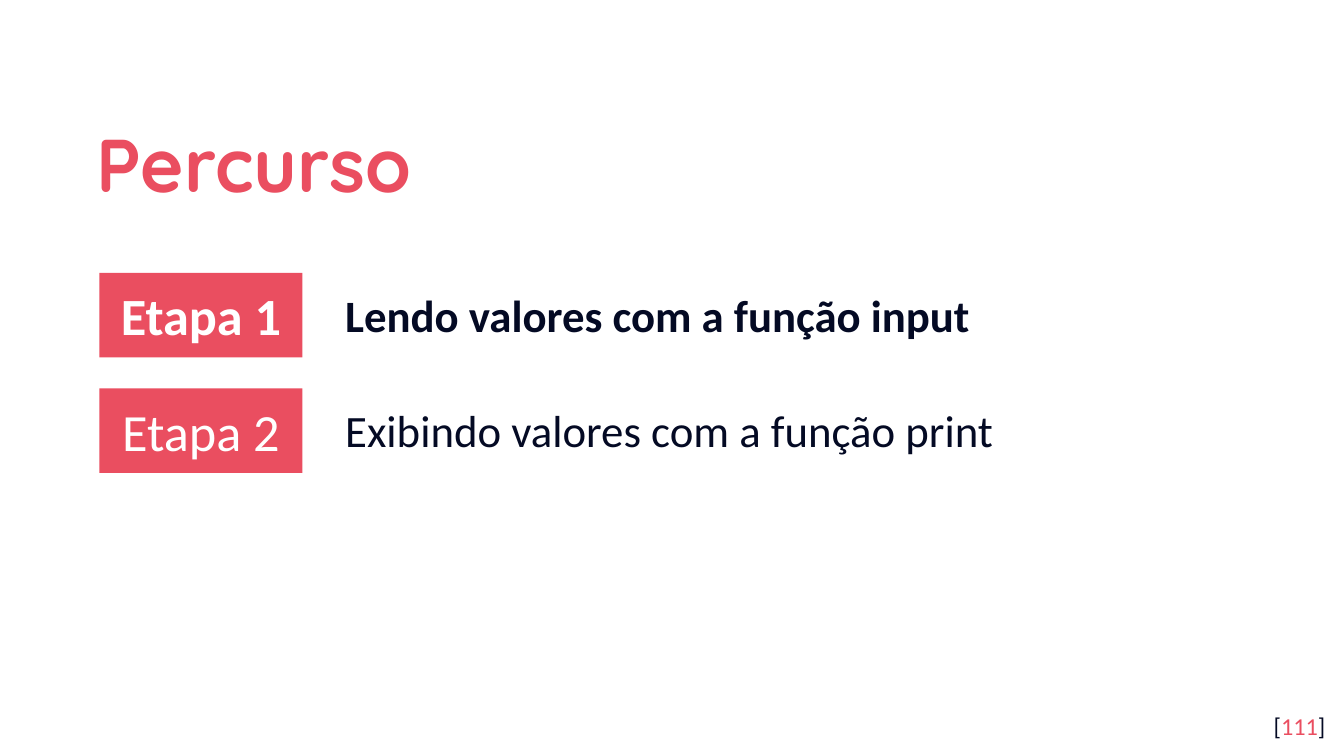
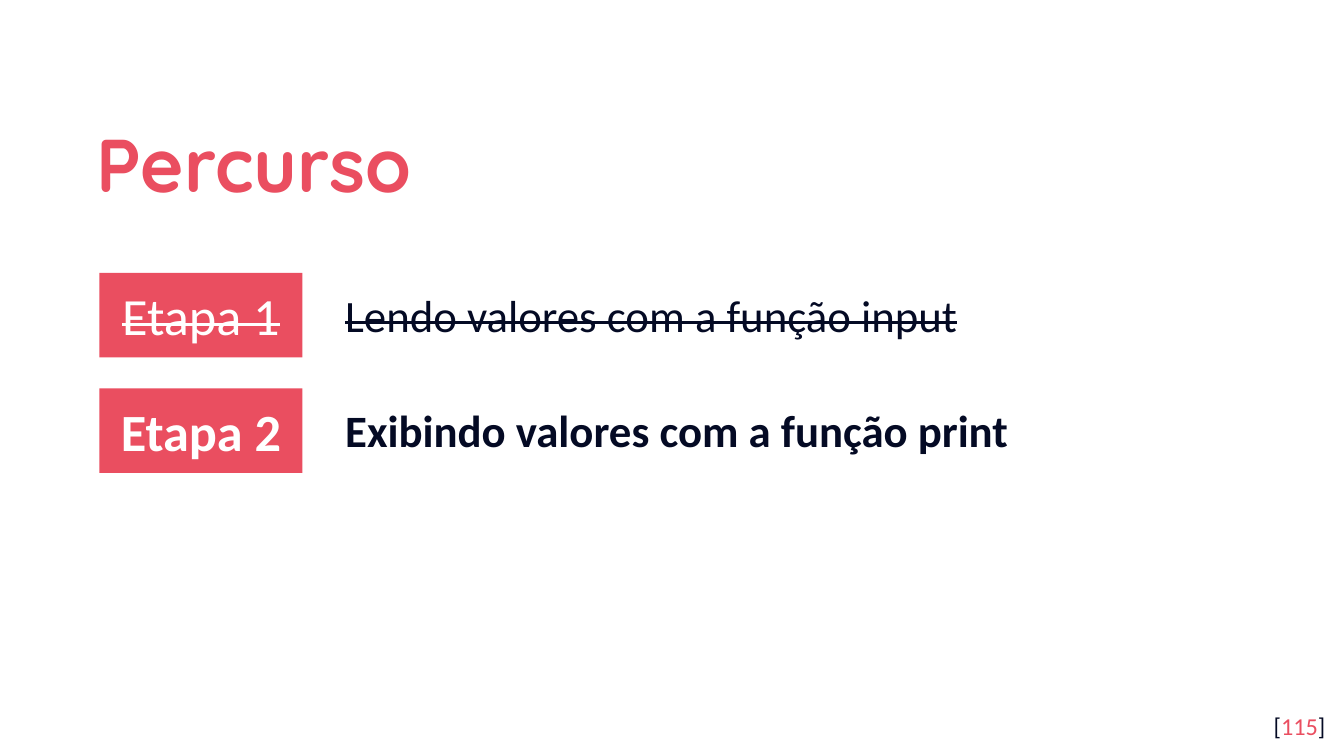
import pptx
import pptx.dml.color
import pptx.enum.shapes
import pptx.enum.text
import pptx.util

ALIGN = pptx.enum.text.PP_ALIGN
ANCHOR = pptx.enum.text.MSO_ANCHOR

STEPS = ["Lendo valores com a função input", "Exibindo valores com a função print"]
PAGES = [(111, 1), (115, 2)]  # page number, current step


def color(hex_code):
    return pptx.dml.color.RGBColor.from_string(hex_code)


class Lesson:
    """Style and current slide; lengths are cells of a square grid, 100 to the width."""

    ACCENT = "EA4E60"
    INK = "040A24"
    PAPER = "FFFFFF"
    BODY_FONT = "Calibri"
    TITLE_FONT = "Quicksand"
    COLUMNS = 100
    FIRST_ROW = 20.3
    ROW_STEP = 8.6

    def __init__(self):
        self.deck = pptx.Presentation()
        self.deck.slide_width = pptx.util.Inches(10)
        self.deck.slide_height = self.deck.slide_width * 9 // 16
        self.slide = None

    def cells(self, count):
        return round(self.deck.slide_width * count / self.COLUMNS)

    def new_slide(self):
        self.slide = self.deck.slides.add_slide(self.deck.slide_layouts[5])
        self.slide.background.fill.solid()
        self.slide.background.fill.fore_color.rgb = color(self.PAPER)

    def set_text(self, box, spans, size, font=BODY_FONT, bold=False, struck=False,
                 align=ALIGN.LEFT, anchor=ANCHOR.TOP, inset=1):
        """Fill a box with one paragraph made of (text, colour) spans."""
        frame = box.text_frame
        frame.word_wrap = True
        frame.auto_size = pptx.enum.text.MSO_AUTO_SIZE.NONE
        frame.vertical_anchor = anchor
        frame.margin_left = frame.margin_right = self.cells(1)
        frame.margin_top = frame.margin_bottom = self.cells(inset)
        para = frame.paragraphs[0]
        para.alignment = align
        for text, hex_code in spans:
            span = para.add_run()
            span.text = text
            span.font.size = pptx.util.Pt(size)
            span.font.name = font
            span.font.bold = bold
            span.font.color.rgb = color(hex_code)
            if struck:
                span._r.get_or_add_rPr().set("strike", "sngStrike")
        return para

    def title(self, text):
        box = self.slide.shapes.title
        box.left, box.top, box.width, box.height = map(self.cells, (6.2, 7, 81, 9.2))
        para = self.set_text(box, [(text, self.ACCENT)], 40, self.TITLE_FONT,
                             bold=True, anchor=ANCHOR.MIDDLE)
        para.line_spacing = 1.15

    def text(self, place, spans, size, **style):
        box = self.slide.shapes.add_textbox(*map(self.cells, place))
        self.set_text(box, spans, size, **style)

    def badge(self, place, label, **style):
        box = self.slide.shapes.add_shape(
            pptx.enum.shapes.MSO_SHAPE.RECTANGLE, *map(self.cells, place))
        box.shadow.inherit = False
        box.fill.solid()
        box.fill.fore_color.rgb = color(self.ACCENT)
        box.line.fill.background()
        self.set_text(box, [(label, self.PAPER)], 28, align=ALIGN.CENTER,
                      anchor=ANCHOR.MIDDLE, **style)

    def step(self, number, description, current):
        """Add one step: bold when current, struck through when done."""
        top = self.FIRST_ROW + (number - 1) * self.ROW_STEP
        style = {"bold": number == current, "struck": number < current}
        self.badge((7.4, top, 15.1, 6.3), f"Etapa {number}", **style)
        self.text((24.7, top + 0.6, 67.5, 5), [(description, self.INK)], 24,
                  inset=0.5, **style)

    def page_number(self, number):
        spans = [("[", self.INK), (str(number), self.ACCENT), ("]", self.INK)]
        self.text((93.6, 51.9, 6, 4.3), spans, 13, align=ALIGN.RIGHT)


def main():
    lesson = Lesson()
    for page, current in PAGES:
        lesson.new_slide()
        lesson.title("Percurso")
        for number, description in enumerate(STEPS, start=1):
            lesson.step(number, description, current)
        lesson.page_number(page)
    lesson.deck.save("out.pptx")


if __name__ == "__main__":
    main()
